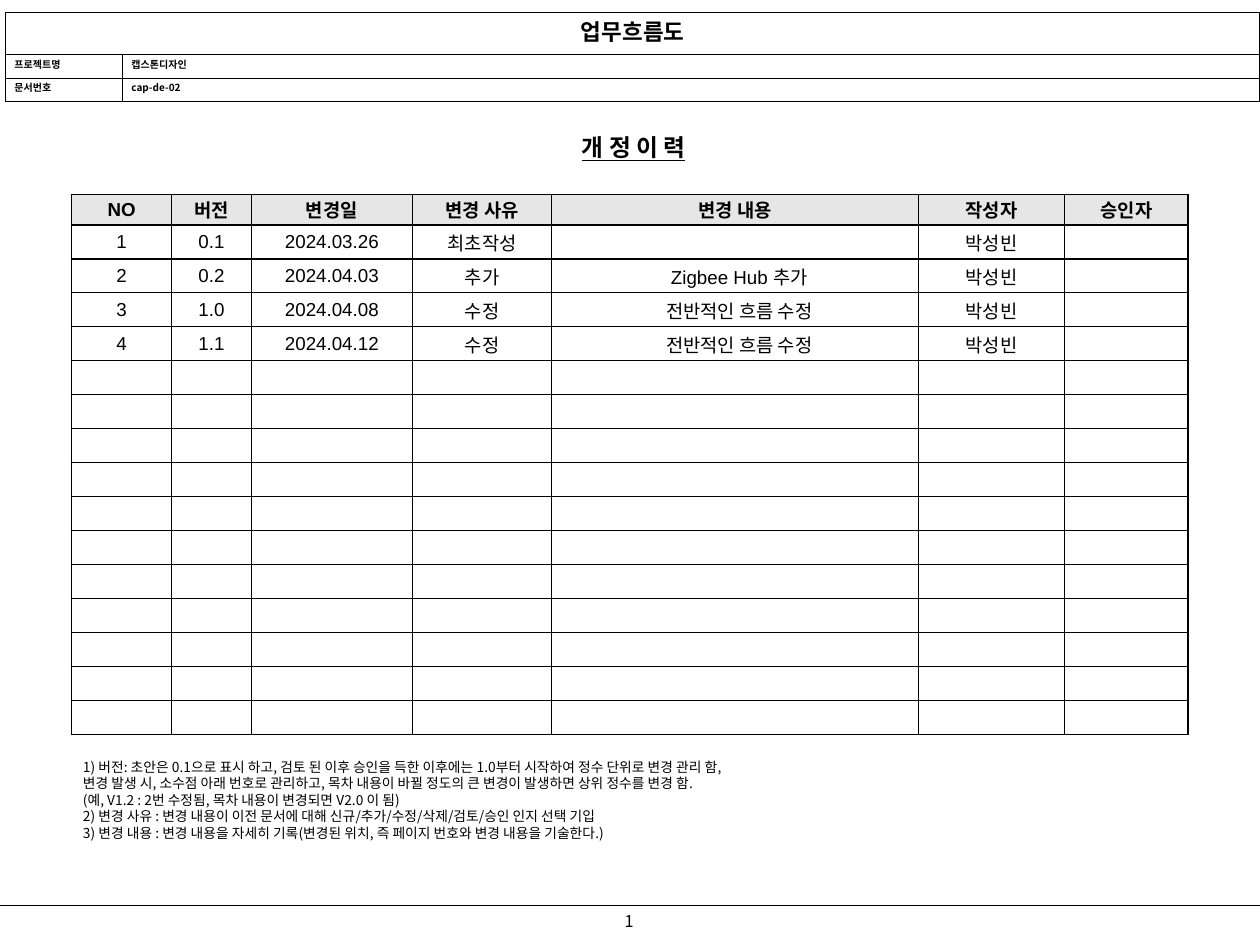
from dataclasses import dataclass

from lxml import etree
from pptx import Presentation
from pptx import util as u
from pptx.dml.color import RGBColor
from pptx.enum import shapes, text
from pptx.oxml.ns import qn

Pt = u.Pt
CENTER, LEFT = text.PP_ALIGN.CENTER, text.PP_ALIGN.LEFT
MIDDLE, TOP = text.MSO_ANCHOR.MIDDLE, text.MSO_ANCHOR.TOP


@dataclass(frozen=True)
class Theme:
    ink: str = "000000"
    paper: str = "FFFFFF"
    shade: str = "E6E6E6"
    korean: str = "Noto Sans CJK KR"
    latin: str = "Arial"
    heading: float = 19
    title: float = 18
    body: float = 15
    page: float = 13
    note: float = 11
    label: float = 8
    rule: float = 1


class SlideBuilder:
    def __init__(self, slide, theme):
        self.slide = slide
        self.theme = theme

    def add_words(self, paragraph, words, align=LEFT, **font):
        paragraph.alignment = align
        run = paragraph.add_run()
        run.text = words
        values = {"name": self.theme.korean, "bold": False, **font}
        values["size"] = Pt(values["size"])
        for name, value in values.items():
            setattr(run.font, name, value)
        run.font.color.rgb = RGBColor.from_string(self.theme.ink)
        east_asian = etree.SubElement(run.font._element, qn("a:ea"))
        east_asian.set("typeface", self.theme.korean)

    def text_box(self, left, top, width, height, lines, size, anchor=TOP, **font):
        box = self.slide.shapes.add_textbox(Pt(left), Pt(top), Pt(width), Pt(height))
        frame = box.text_frame
        frame_format = {
            "word_wrap": True, "vertical_anchor": anchor,
            "margin_left": Pt(9.4), "margin_right": Pt(9.4),
            "margin_top": Pt(5), "margin_bottom": Pt(5),
        }
        for name, value in frame_format.items():
            setattr(frame, name, value)
        for index, line in enumerate(lines):
            paragraph = frame.add_paragraph() if index else frame.paragraphs[0]
            paragraph.line_spacing = Pt(round(size * 1.2, 1))
            self.add_words(paragraph, line, size=size, **font)

    def rule(self, x1, y1, x2, y2):
        line = self.slide.shapes.add_connector(
            shapes.MSO_CONNECTOR.STRAIGHT, Pt(x1), Pt(y1), Pt(x2), Pt(y2))
        line.line.width = Pt(self.theme.rule)
        line.line.color.rgb = RGBColor.from_string(self.theme.ink)
        etree.SubElement(line._element.spPr, qn("a:effectLst"))

    def table(self, left, top, widths, heights):
        frame = self.slide.shapes.add_table(
            len(heights), len(widths), Pt(left), Pt(top), Pt(sum(widths)), Pt(sum(heights)))
        table = frame.table
        table.first_row = table.horz_banding = False
        for column, width in zip(table.columns, widths):
            column.width = Pt(width)
        for row, height in zip(table.rows, heights):
            row.height = Pt(height)
        return table

    def cell(self, cell, fill=None, anchor=TOP, side=7.2, edge=1.4):
        cell_format = {
            "vertical_anchor": anchor, "margin_left": Pt(side), "margin_right": Pt(side),
            "margin_top": Pt(edge), "margin_bottom": Pt(edge),
        }
        for name, value in cell_format.items():
            setattr(cell, name, value)
        if fill:
            cell.fill.solid()
            cell.fill.fore_color.rgb = RGBColor.from_string(fill)
        else:
            cell.fill.background()
        # Borders come before the fill in the cell properties
        properties = cell._tc.get_or_add_tcPr()
        for index, border in enumerate(("a:lnL", "a:lnR", "a:lnT", "a:lnB")):
            line = etree.Element(qn(border), w=str(Pt(self.theme.rule)))
            solid = etree.SubElement(line, qn("a:solidFill"))
            etree.SubElement(solid, qn("a:srgbClr"), val=self.theme.ink)
            properties.insert(index, line)

    def header_table(self, title, rows):
        table = self.table(4.3, 10.1, [93.6, 910.1], [33.8, 18.7, 18.7])
        for cell in table.iter_cells():
            self.cell(cell, self.theme.paper)
        table.cell(0, 0).merge(table.cell(0, 1))
        self.add_words(table.cell(0, 0).text_frame.paragraphs[0], title, CENTER,
                       size=self.theme.title, bold=True)
        for row, values in enumerate(rows, 1):
            for column, words in enumerate(values):
                self.add_words(table.cell(row, column).text_frame.paragraphs[0], words,
                               size=self.theme.label, bold=True)

    def history_table(self, rows, row_count):
        widths = [80.5, 63.5, 129, 111.5, 293, 117.5, 98.5]
        table = self.table(57, 155.5, widths, [24.5] + [27.2] * (row_count - 1))
        for index, cell in enumerate(table.iter_cells()):
            row, column = divmod(index, len(widths))
            is_head = row == 0
            self.cell(cell, self.theme.shade if is_head else None, MIDDLE, 6.5, 0)
            words = rows[row][column] if row < len(rows) else ""
            if not words:
                continue
            paragraph = cell.text_frame.paragraphs[0]
            self.add_words(paragraph, words, CENTER, size=self.theme.body,
                           name=self.theme.latin, bold=is_head)
            hanging = 37 if column == 4 and not is_head else 44
            properties = paragraph._p.get_or_add_pPr()
            properties.set("marL", str(Pt(44)))
            properties.set("indent", str(-Pt(hanging)))


HISTORY = [
    ["NO", "버전", "변경일", "변경 사유", "변경 내용", "작성자", "승인자"],
    ["1", "0.1", "2024.03.26", "최초작성", "", "박성빈", ""],
    ["2", "0.2", "2024.04.03", "추가", "Zigbee Hub 추가", "박성빈", ""],
    ["3", "1.0", "2024.04.08", "수정", "전반적인 흐름 수정", "박성빈", ""],
    ["4", "1.1", "2024.04.12", "수정", "전반적인 흐름 수정", "박성빈", ""],
]
NOTES = [
    "1) 버전: 초안은 0.1으로 표시 하고, 검토 된 이후 승인을 득한 이후에는 1.0부터 시작하여 정수 단위로 변경 관리 함,",
    "변경 발생 시, 소수점 아래 번호로 관리하고, 목차 내용이 바뀔 정도의 큰 변경이 발생하면 상위 정수를 변경 함.",
    "(예, V1.2 : 2번 수정됨, 목차 내용이 변경되면 V2.0 이 됨)",
    "2) 변경 사유 : 변경 내용이 이전 문서에 대해 신규/추가/수정/삭제/검토/승인 인지 선택 기입",
    "3) 변경 내용 : 변경 내용을 자세히 기록(변경된 위치, 즉 페이지 번호와 변경 내용을 기술한다.)",
]


def main():
    presentation = Presentation()
    presentation.slide_width, presentation.slide_height = Pt(1008), Pt(756)
    theme = Theme()
    builder = SlideBuilder(presentation.slides.add_slide(presentation.slide_layouts[6]), theme)

    # Footer
    builder.text_box(483.8, 724.3, 38.9, 25.2, ["1"], theme.page, align=CENTER)
    builder.rule(0, 724.3, 1008, 724.3)

    # Revision history
    builder.text_box(419, 100.8, 175.7, 33.8, ["개 정 이 력"], theme.heading, MIDDLE,
                     align=CENTER, bold=True, underline=True)
    builder.history_table(HISTORY, row_count=16)
    builder.text_box(57, 602, 894, 76.3, NOTES, theme.note)

    # Document header
    builder.header_table("업무흐름도", [["프로젝트명", "캡스톤디자인"], ["문서번호", "cap-de-02"]])

    presentation.save("out.pptx")


if __name__ == "__main__":
    main()
